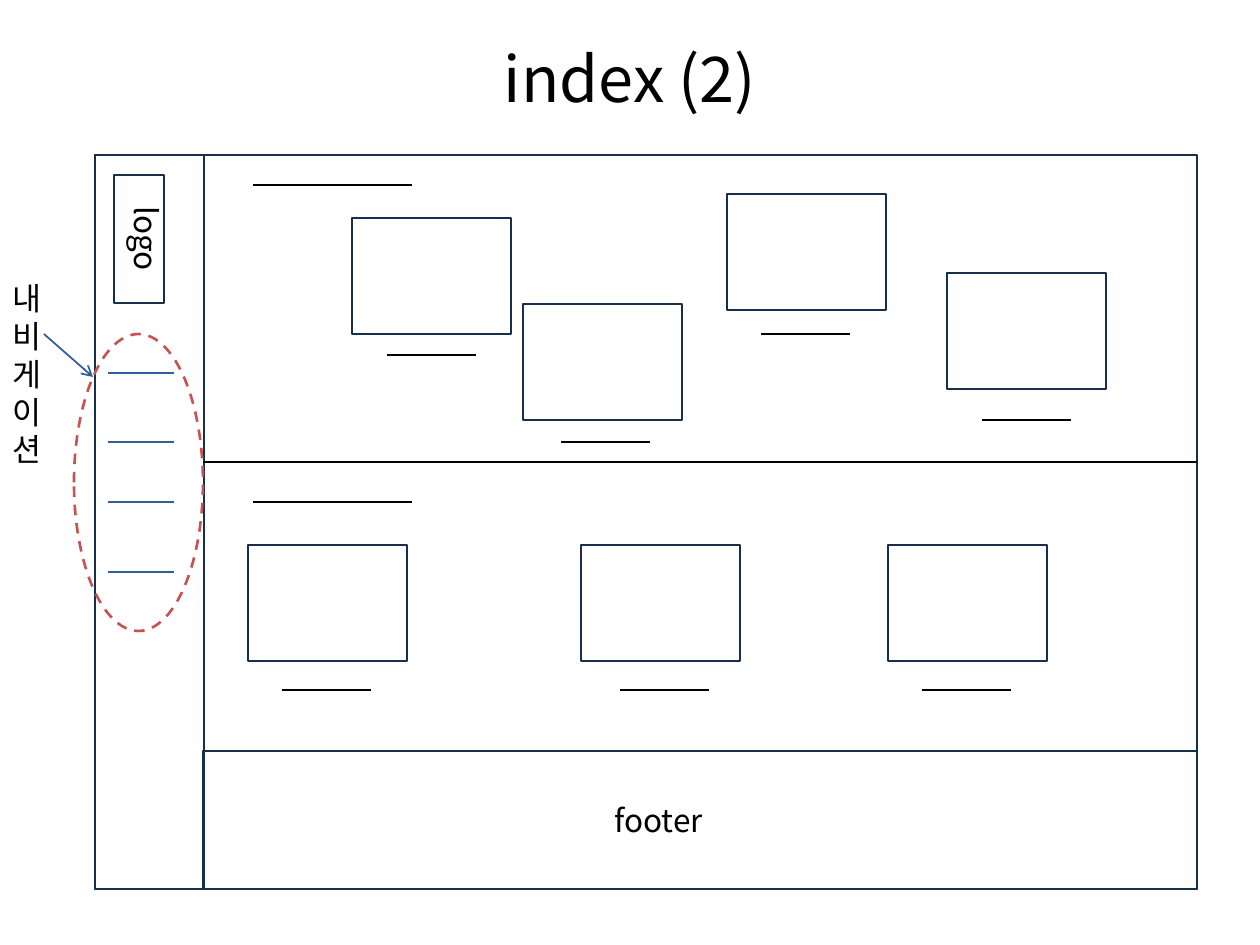
from dataclasses import dataclass
from typing import NamedTuple, Optional

from lxml import etree
from pptx import Presentation
from pptx.dml.color import RGBColor
from pptx.enum.dml import MSO_LINE
from pptx.enum.shapes import MSO_CONNECTOR, MSO_SHAPE
from pptx.enum.text import MSO_ANCHOR, PP_ALIGN
from pptx.oxml.ns import qn
from pptx.util import Emu, Pt

RECTANGLE, OVAL = MSO_SHAPE.RECTANGLE, MSO_SHAPE.OVAL
STRAIGHT = MSO_CONNECTOR.STRAIGHT
DASH = MSO_LINE.DASH
MIDDLE, CENTER = MSO_ANCHOR.MIDDLE, PP_ALIGN.CENTER
TITLE_ONLY = 5
PX_PER_INCH = 126


@dataclass(frozen=True)
class Theme:
    font: str = "Noto Sans CJK KR"
    ink: RGBColor = RGBColor(0x00, 0x00, 0x00)
    frame: RGBColor = RGBColor(0x18, 0x2F, 0x4B)
    link: RGBColor = RGBColor(0x2E, 0x5F, 0x9A)
    highlight: RGBColor = RGBColor(0xC7, 0x52, 0x52)
    title_size: int = 36
    label_size: int = 18
    frame_width: float = 1.5
    rule_width: float = 1


class Box(NamedTuple):
    left: int
    top: int
    width: int
    height: int


class Card(NamedTuple):
    left: int
    top: int
    caption_left: int
    caption_top: int


class Label(NamedTuple):
    text: str
    box: Box
    direction: Optional[str] = None


THEME = Theme()
TITLE_BOX = Box(63, 38, 1134, 78)
FRAMES = [
    Box(95, 155, 1102, 734),   # page
    Box(95, 155, 109, 734),    # sidebar
    Box(114, 175, 50, 128),    # logo
    Box(203, 751, 994, 138),   # footer
]
NAVIGATION_RING = Box(74, 334, 129, 297)
CARD_WIDTH, CARD_HEIGHT, CAPTION_WIDTH = 159, 116, 89
CARDS = [
    Card(352, 218, 387, 355),
    Card(523, 304, 561, 442),
    Card(727, 194, 761, 334),
    Card(947, 273, 982, 420),
] + [Card(left, 545, caption, 690)
     for left, caption in ((248, 282), (581, 620), (888, 922))]
HEADING_LEFT, HEADING_WIDTH, HEADING_TOPS = 253, 159, (185, 502)
LINK_LEFT, LINK_WIDTH, LINK_TOPS = 108, 66, (373, 442, 502, 572)
LABELS = [
    Label("logo", Box(108, 194, 64, 126), "eaVert"),
    Label("내비게이션", Box(0, 273, 74, 200)),
    Label("footer", Box(602, 795, 124, 50)),
]


def px(value: int) -> Emu:
    return Emu(round(value * 914400 / PX_PER_INCH))


def add_outline(slide, box: Box, kind=RECTANGLE, color=THEME.frame, dash=None) -> None:
    shape = slide.shapes.add_shape(kind, *map(px, box))
    shape.shadow.inherit = False
    shape.fill.background()
    shape.line.color.rgb = color
    shape.line.width = Pt(THEME.frame_width)
    if dash is not None:
        shape.line.dash_style = dash


def add_line(slide, start: tuple[int, int], end: tuple[int, int],
             color=THEME.ink, arrow: bool = False) -> None:
    connector = slide.shapes.add_connector(STRAIGHT, *map(px, start + end))
    connector.line.color.rgb = color
    connector.line.width = Pt(THEME.rule_width)
    if arrow:
        etree.SubElement(connector.line._get_or_add_ln(), qn("a:tailEnd"), type="arrow")
    etree.SubElement(connector._element.spPr, qn("a:effectLst"))


def add_rule(slide, left: int, top: int, width: int, color=THEME.ink) -> None:
    add_line(slide, (left, top), (left + width, top), color)


def add_run(paragraph, text: str, size: int) -> None:
    run = paragraph.add_run()
    run.text = text
    run.font.size = Pt(size)
    run.font.name = THEME.font
    run.font.color.rgb = THEME.ink
    etree.SubElement(run.font._element, qn("a:ea"), typeface=THEME.font)


def add_title(slide, text: str) -> None:
    title = slide.shapes.title
    title.left, title.top, title.width, title.height = map(px, TITLE_BOX)
    title.text_frame.vertical_anchor = MIDDLE
    paragraph = title.text_frame.paragraphs[0]
    paragraph.alignment = CENTER
    add_run(paragraph, text, THEME.title_size)


def add_label(slide, label: Label) -> None:
    frame = slide.shapes.add_textbox(*map(px, label.box)).text_frame
    frame.word_wrap = True
    if label.direction:
        frame._txBody.bodyPr.set("vert", label.direction)
    add_run(frame.paragraphs[0], label.text, THEME.label_size)


def add_card(slide, card: Card) -> None:
    add_outline(slide, Box(card.left, card.top, CARD_WIDTH, CARD_HEIGHT))
    add_rule(slide, card.caption_left, card.caption_top, CAPTION_WIDTH)


def main() -> None:
    presentation = Presentation()
    presentation.slide_width, presentation.slide_height = px(1260), px(945)
    slide = presentation.slides.add_slide(presentation.slide_layouts[TITLE_ONLY])
    add_title(slide, "index (2)")

    # Page frame
    for box in FRAMES:
        add_outline(slide, box)

    # Navigation
    for top in LINK_TOPS:
        add_rule(slide, LINK_LEFT, top, LINK_WIDTH, THEME.link)
    add_outline(slide, NAVIGATION_RING, OVAL, THEME.highlight, DASH)
    add_line(slide, (44, 334), (93, 377), THEME.link, arrow=True)

    # Content sections
    add_rule(slide, 203, 462, 994)
    for top in HEADING_TOPS:
        add_rule(slide, HEADING_LEFT, top, HEADING_WIDTH)
    for card in CARDS:
        add_card(slide, card)

    # Labels
    for label in LABELS:
        add_label(slide, label)

    presentation.save("out.pptx")


if __name__ == "__main__":
    main()
